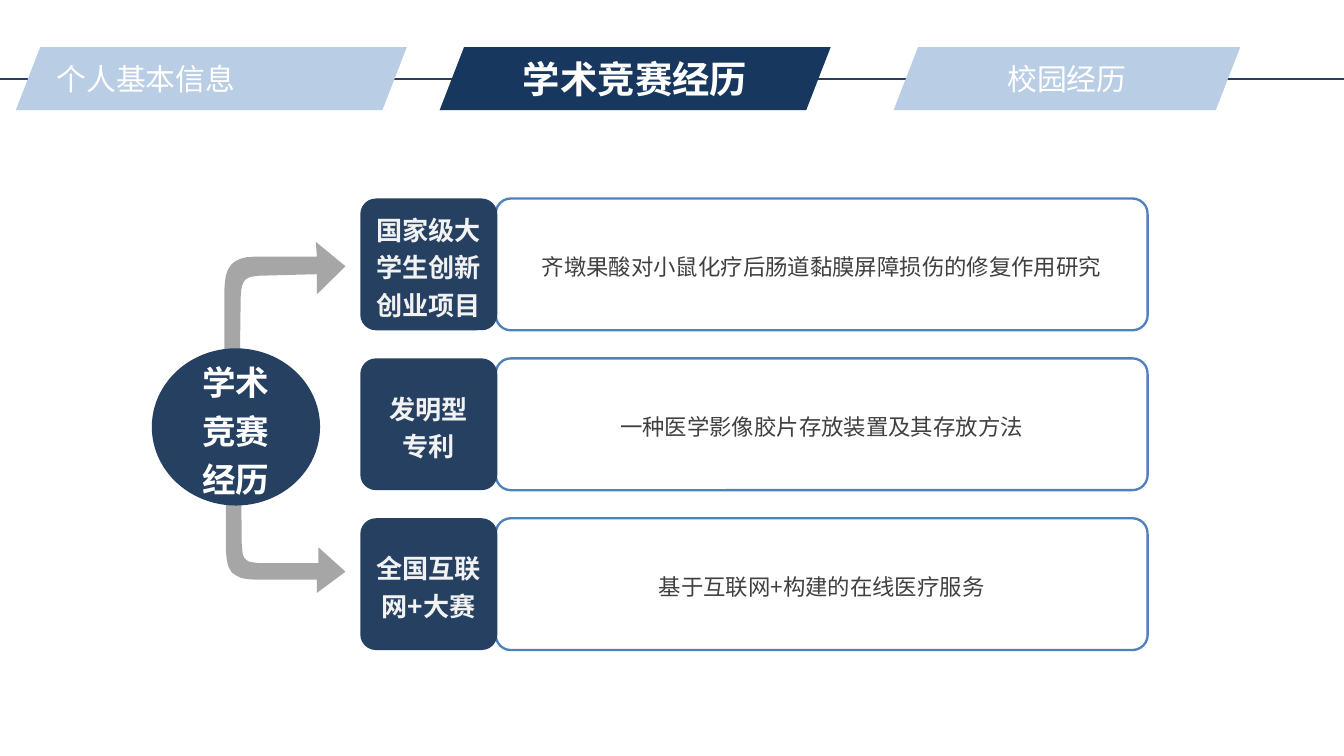
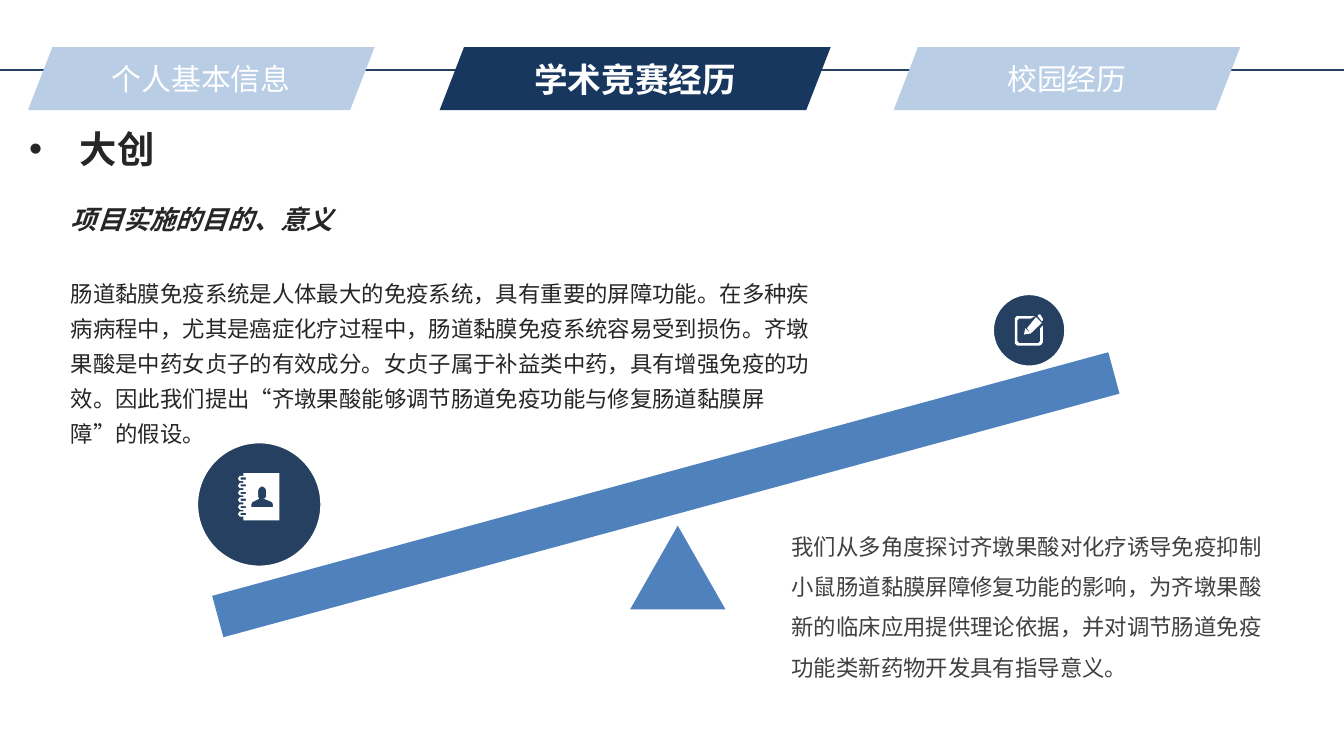
from lxml.etree import SubElement
from pptx import Presentation
from pptx.dml.color import RGBColor
from pptx.enum.shapes import MSO_CONNECTOR as Link, MSO_SHAPE as Kind
from pptx.enum.text import MSO_ANCHOR as Anchor, MSO_AUTO_SIZE as Fit, PP_ALIGN as Align
from pptx.oxml.ns import qn
from pptx.util import Cm, Pt

NAVY, DARK, PALE, BLUE = "254061", "17375E", "B9CDE5", "4F81BD"
WHITE, GREY, INK, SLATE = "FFFFFF", "A6A6A6", "262626", "404040"
SANS = "Noto Sans CJK SC"


def tone(code):
    return RGBColor.from_string(code)


def put(page, kind, box, text="", fill=None, line=None, width=1, adj=None, size=12,
        color=WHITE, bold=False, font=SANS, gap=None, inset=(0.25, 0.13), bullet=None):
    area = [Cm(n) for n in box]
    if kind is None:
        shape = page.shapes.add_textbox(*area)
    else:
        shape = page.shapes.add_shape(kind, *area)
        shape.shadow.inherit = False
        if adj:
            shape.adjustments[0] = adj
        if fill:
            shape.fill.solid()
            shape.fill.fore_color.rgb = tone(fill)
        else:
            shape.fill.background()
        if line:
            shape.line.color.rgb = tone(line)
            shape.line.width = Pt(width)
        else:
            shape.line.fill.background()
    if not text:
        return shape
    frame = shape.text_frame
    frame.word_wrap = True
    frame.margin_left = frame.margin_right = Cm(inset[0])
    frame.margin_top = frame.margin_bottom = Cm(inset[1])
    frame.vertical_anchor = Anchor.MIDDLE if kind else Anchor.TOP
    if kind is None:
        frame.auto_size = Fit.SHAPE_TO_FIT_TEXT
    for i, part in enumerate(text.split("\n")):
        para = frame.add_paragraph() if i else frame.paragraphs[0]
        para.alignment = Align.CENTER if kind else Align.LEFT
        if gap:
            para.line_spacing = gap
        if bullet:
            prop = para._p.get_or_add_pPr()
            prop.set("marL", str(Cm(0.96)))
            prop.set("indent", str(-Cm(0.96)))
            SubElement(prop, qn("a:buFont")).set("typeface", "Arial")
            SubElement(prop, qn("a:buChar")).set("char", bullet)
        run = para.add_run()
        run.text = part
        run.font.size = Pt(size)
        run.font.bold = bold
        run.font.color.rgb = tone(color)
        run.font.name = font
        SubElement(run._r.get_or_add_rPr(), qn("a:ea")).set("typeface", font)
    return shape


deck = Presentation()
deck.slide_width, deck.slide_height = Cm(25.4), Cm(14.28)
pages = []
for rule, left, wide, name, big in [
    (1.5, 0.3, 7.39, "", 20),
    (1.32, 0.53, 6.55, "个人基本信息", 18),
]:
    page = deck.slides.add_slide(deck.slide_layouts[6])
    pages.append(page)
    wire = page.shapes.add_connector(Link.STRAIGHT, Cm(-0.7), Cm(rule), Cm(25.4), Cm(rule))
    wire.line.color.rgb = tone(NAVY)
    wire.line.width = Pt(1)
    SubElement(wire._element.spPr, qn("a:effectLst"))
    for x, w, label, fill, size in [
        (left, wide, name, PALE, 16),
        (8.31, 7.39, "学术竞赛经历", DARK, big),
        (16.89, 6.55, "校园经历", PALE, 16),
    ]:
        put(page, Kind.PARALLELOGRAM, (x, 0.89, w, 1.19), label, fill=fill,
            adj=0.388, size=size, bold=fill == DARK)
first, second = pages

put(first, None, (0.89, 1.04, 3.99, 0.86), "个人基本信息", size=16, inset=(0.18, 0.1))
rows = [
    ("国家级大学生创新创业项目", "齐墩果酸对小鼠化疗后肠道黏膜屏障损伤的修复作用研究"),
    ("发明型\n专利", "一种医学影像胶片存放装置及其存放方法"),
    ("全国互联网+大赛", "基于互联网+构建的在线医疗服务"),
]
tight = dict(gap=1.2, inset=(0.18, 0.08))
for i, (label, topic) in enumerate(rows):
    y = 3.75 + 3.02 * i
    put(first, Kind.ROUNDED_RECTANGLE, (9.37, y, 12.32, 2.49), topic, line=BLUE,
        width=1.25, adj=0.115, color=SLATE, **tight)
    put(first, Kind.ROUNDED_RECTANGLE, (6.81, y, 2.59, 2.49), label, fill=NAVY,
        adj=0.119, size=14, color="F2F2F2", bold=True, **tight)

beam = put(second, Kind.RECTANGLE, (3.81, 8.94, 17.55, 0.81), fill=BLUE)
beam.rotation = 344.8
put(second, Kind.ISOSCELES_TRIANGLE, (11.91, 9.93, 1.8, 1.58), fill=BLUE)
for x, y, d in [(3.71, 8.34, 2.38), (18.75, 5.54, 1.4)]:
    put(second, Kind.OVAL, (x, y, d, d), fill=NAVY, line=WHITE, width=2)
put(second, None, (14.71, 9.68, 9.5, 3.33),
    "我们从多角度探讨齐墩果酸对化疗诱导免疫抑制小鼠肠道黏膜屏障修复功能的影响，"
    "为齐墩果酸新的临床应用提供理论依据，并对调节肠道免疫功能类新药物开发具有指导意义。",
    color=SLATE, gap=1.5)
aim = put(second, None, (1.09, 3.53, 14.71, 5.03),
          "项目实施的目的、意义\n"
          "肠道黏膜免疫系统是人体最大的免疫系统，具有重要的屏障功能。在多种疾病病程中，"
          "尤其是癌症化疗过程中，肠道黏膜免疫系统容易受到损伤。齐墩果酸是中药女贞子的有效成分。"
          "女贞子属于补益类中药，具有增强免疫的功效。因此我们提出“齐墩果酸能够调节肠道免疫功能"
          "与修复肠道黏膜屏障”的假设。", color=INK, gap=1.3)
head = aim.text_frame.paragraphs[0]
head.space_after = Pt(20)
title = head.runs[0].font
title.size, title.bold, title.italic = Pt(14), True, True
put(second, None, (0.3, 2.26, 11.13, 1.12), "大创", size=20, color=INK, bold=True, bullet="•")

down = [(455, 841), (457, 1029), (457, 1062, 470, 1062, 490, 1064), (602, 1064),
        (602, 1034), (653, 1080), (599, 1120), (599, 1095), (483, 1095),
        (439, 1095, 427, 1077, 427, 1039), (427, 836), (429, 803, 447, 805, 455, 841)]
up = [(452, 780), (455, 561), (457, 523, 467, 523, 488, 521), (599, 518),
      (599, 556), (653, 503), (597, 457), (599, 485), (480, 485),
      (439, 485, 424, 505, 424, 549), (424, 785), (429, 823, 447, 820, 452, 780)]
pen = [
    [(1971, 605), (1969, 607), (1961, 597), (1963, 594), (1966, 594), (1971, 602)],
    [(1948, 630), (1941, 620), (1958, 599), (1969, 610)],
    [(1948, 630), (1935, 632), (1938, 620)],
    [(1928, 602), (1925, 602, 1923, 605, 1923, 607), (1923, 643),
     (1923, 645, 1925, 648, 1928, 648), (1961, 648), (1963, 648, 1966, 645, 1966, 643),
     (1966, 620), (1971, 615), (1971, 645), (1971, 650, 1966, 653, 1963, 653),
     (1925, 653), (1920, 653, 1918, 650, 1918, 645), (1918, 607),
     (1918, 599, 1920, 597, 1925, 597), (1956, 597), (1948, 602)],
]
cover, holes = [(528, 894), (460, 894)], []
for i in range(6):
    y = 899 + 13.4 * i
    cover += [(460, y), (455, y), (449, y, 449, y + 10, 455, y + 10), (460, y + 10)]
    holes.append([(455, y + 3), (465, y + 3), (465, y + 7), (455, y + 7)])
cover += [(460, 983), (528, 983)]
bust = [(516, 958), (475, 958), (475, 953), (475, 953, 475, 950, 480, 947), (490, 942),
        (490, 942, 488, 940, 488, 937), (488, 927), (488, 922, 493, 919, 495, 919),
        (498, 919, 503, 922, 503, 927), (503, 937), (503, 940, 500, 942, 498, 942),
        (511, 947), (516, 950, 516, 953, 516, 953)]

for page, loops, fill in [
    (first, [down], GREY), (first, [up], GREY),
    (second, pen, WHITE), (second, [cover, *holes, bust], WHITE),
]:
    maker = None
    for steps in loops:
        dots = [steps[0]]
        for step in steps[1:]:
            if len(step) == 2:
                dots.append(step)
                continue
            a, b, c, d = dots[-1], step[:2], step[2:4], step[4:]
            for t in [n / 8 for n in range(1, 9)]:
                s = 1 - t
                dots.append(tuple(s**3 * a[k] + 3 * s * s * t * b[k] + 3 * s * t * t * c[k]
                                  + t**3 * d[k] for k in (0, 1)))
        if maker is None:
            maker = page.shapes.build_freeform(*dots[0], scale=Cm(0.01))
        else:
            maker.move_to(*dots[0])
        maker.add_line_segments(dots[1:], close=True)
    shape = maker.convert_to_shape()
    shape.shadow.inherit = False
    shape.fill.solid()
    shape.fill.fore_color.rgb = tone(fill)
    shape.line.fill.background()

put(first, Kind.OVAL, (2.87, 6.58, 3.18, 2.97), "学术竞赛经历", fill=NAVY, size=18,
    bold=True, font="Arial", **tight)
deck.save("out.pptx")
